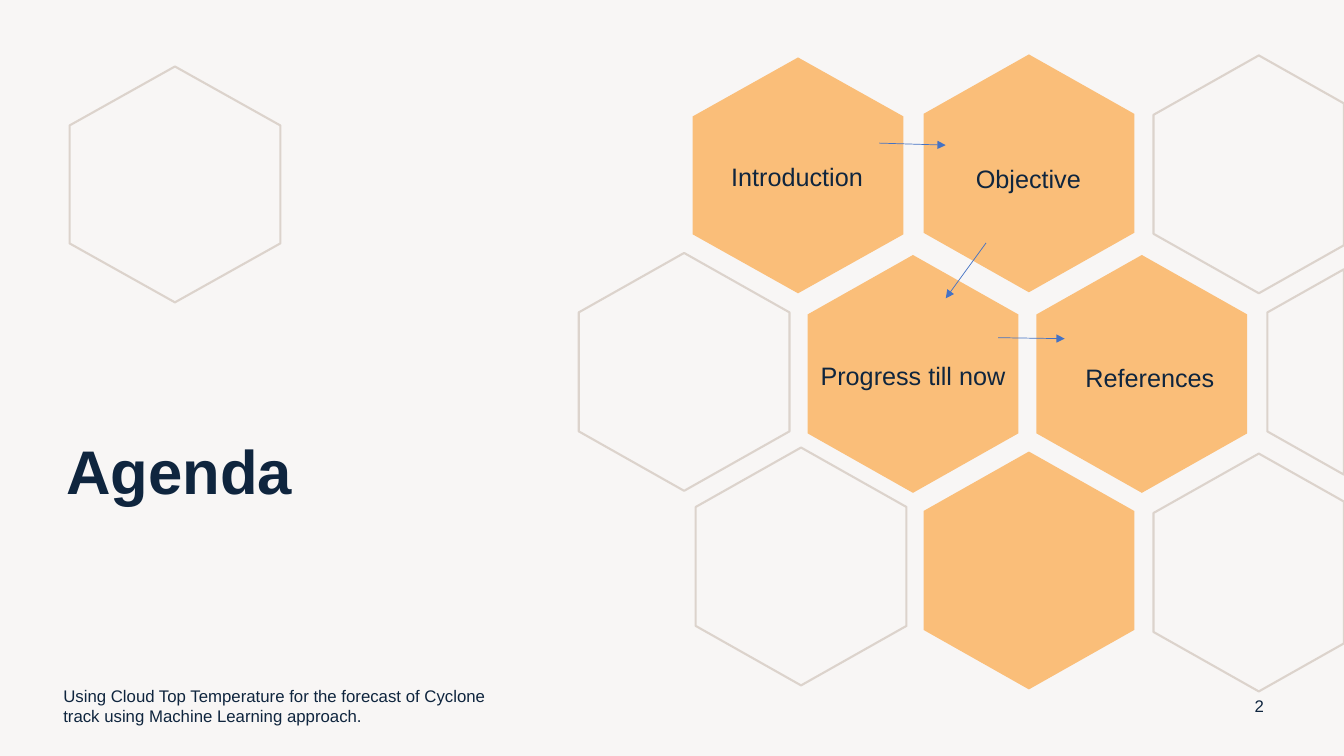
from lxml import etree
from pptx import Presentation
from pptx import util as u
from pptx.dml.color import RGBColor
from pptx.enum import shapes, text
from pptx.oxml.ns import qn

WIDTH, HEIGHT = 13.33, 7.5


def rgb(value):
    """Turn a hex string into a colour."""
    return RGBColor.from_string(value)


class AgendaSlide:
    """Holds the style and the current slide, and draws each kind of element."""

    font, ink, orange, outline, arrow_blue = "Arial", "0F253E", "FABE79", "DCD3CC", "4472C4"
    paper = "F8F6F5"
    hex_width = 2.09

    def __init__(self, prs):
        """Add a blank slide with the paper background."""
        self.s = prs.slides.add_slide(prs.slide_layouts[6])
        fill = self.s.background.fill
        fill.solid()
        fill.fore_color.rgb = rgb(self.paper)

    def hexagon(self, x, y, h=2.36, filled=False):
        """Draw a hexagon, cut off at the right edge of the slide."""
        cx, slope = x + self.hex_width / 2, h / 2 / self.hex_width
        xs = sorted({min(px, WIDTH) for px in (x, cx, x + self.hex_width)})
        top = [(px, y + abs(px - cx) * slope) for px in xs]
        bottom = [(px, 2 * y + h - py) for px, py in reversed(top)]
        points = [(u.Inches(px), u.Inches(py)) for px, py in top + bottom]
        builder = self.s.shapes.build_freeform(*points[0], scale=1.0)
        builder.add_line_segments(points[1:], close=True)
        sp = builder.convert_to_shape()
        sp.shadow.inherit = False
        if filled:
            sp.fill.solid()
            sp.fill.fore_color.rgb = rgb(self.orange)
            sp.line.fill.background()
        else:
            sp.fill.background()
            sp.line.color.rgb = rgb(self.outline)
            sp.line.width = u.Pt(1.5)

    def text(self, words, box, size=18, bold=False, center=True, spacing=1.0):
        """Write one paragraph in a vertically centred box."""
        sp = self.s.shapes.add_textbox(*map(u.Inches, box))
        tf = sp.text_frame
        tf.word_wrap = True
        tf.vertical_anchor = text.MSO_ANCHOR.MIDDLE
        p = tf.paragraphs[0]
        p.alignment = text.PP_ALIGN.CENTER if center else text.PP_ALIGN.LEFT
        p.line_spacing = spacing
        r = p.add_run()
        r.text = words
        r.font.name, r.font.size, r.font.bold = self.font, u.Pt(size), bold
        r.font.color.rgb = rgb(self.ink)

    def arrow(self, *ends):
        """Draw a thin arrow from the first point to the second."""
        c = self.s.shapes.add_connector(shapes.MSO_CONNECTOR.STRAIGHT, *map(u.Inches, ends))
        c.line.color.rgb = rgb(self.arrow_blue)
        c.line.width = u.Pt(0.5)
        etree.SubElement(c.line._get_or_add_ln(), qn("a:tailEnd"), type="triangle")
        etree.SubElement(c._element.spPr, qn("a:effectLst"))


def main():
    """Build and save the agenda slide."""
    prs = Presentation()
    prs.slide_width, prs.slide_height = u.Inches(WIDTH), u.Inches(HEIGHT)
    slide = AgendaSlide(prs)

    slide.hexagon(6.87, 0.57, 2.34, filled=True)
    for x, y in [(9.16, 0.54), (8.01, 2.53), (9.16, 4.48), (10.28, 2.53)]:
        slide.hexagon(x, y, filled=True)
    slide.hexagon(0.69, 0.66, 2.34)
    for x, y in [(11.44, 0.55), (12.57, 2.51), (11.44, 4.5), (5.74, 2.51), (6.9, 4.44)]:
        slide.hexagon(x, y)

    slide.text("Agenda", (0.56, 3.76, 4.65, 1.9), size=44, bold=True, center=False, spacing=0.9)
    slide.text("Introduction", (6.86, 1.18, 2.09, 1.15))
    for words, box in [
        ("Objective", (9.16, 1.18, 2.08, 1.15)),
        ("Progress till now", (8.01, 3.11, 2.09, 1.19)),
        ("References", (10.36, 3.12, 2.09, 1.21)),
    ]:
        slide.text(words, box, spacing=1.13)
    slide.text(
        "Using Cloud Top Temperature for the forecast of Cyclone track using Machine Learning approach.",
        (0.53, 6.8, 4.5, 0.4), size=12, center=False)
    slide.text("2", (12.24, 6.8, 0.5, 0.4), size=12)

    for ends in [(9.78, 2.41, 9.38, 2.96), (8.72, 1.42, 9.38, 1.44), (9.9, 3.35, 10.56, 3.36)]:
        slide.arrow(*ends)
    prs.save("out.pptx")


if __name__ == "__main__":
    main()
